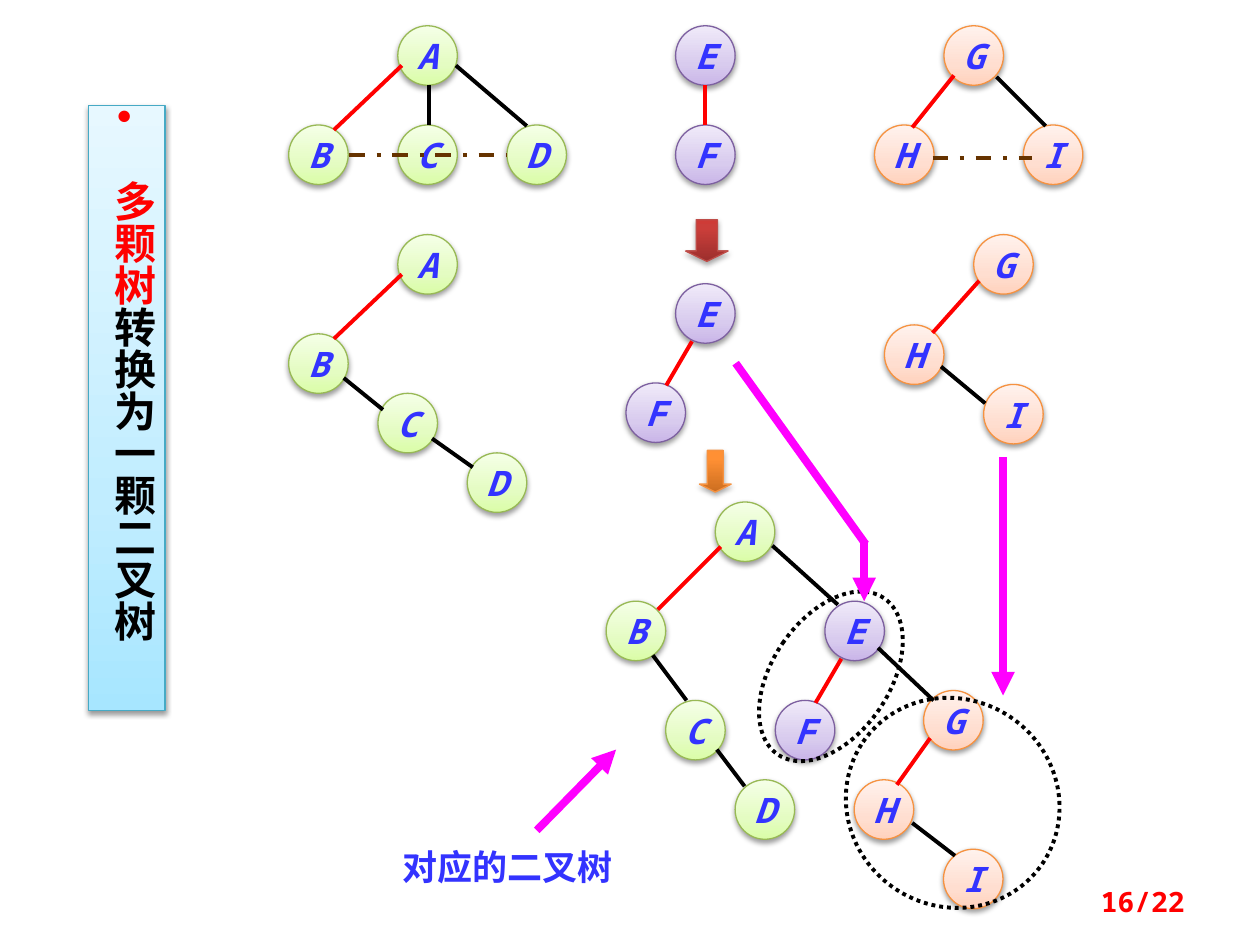
from dataclasses import dataclass

from lxml.etree import SubElement
from pptx import Presentation
from pptx.dml.color import RGBColor
from pptx.enum.dml import MSO_LINE
from pptx.enum.shapes import MSO_CONNECTOR, MSO_SHAPE
from pptx.enum.text import MSO_ANCHOR, MSO_AUTO_SIZE, PP_ALIGN
from pptx.oxml.ns import qn
from pptx.util import Cm, Pt


@dataclass(frozen=True)
class Skin:
    """Gradient stops as (percent, colour), and the outline colour."""
    stops: tuple
    outline: str
    shadow_alpha: int = 38


@dataclass(frozen=True)
class Theme:
    latin: str = "Noto Sans Mono"
    cjk: str = "Noto Sans CJK SC"
    black: str = "000000"
    red: str = "FF0000"
    blue: str = "3333FF"
    brown: str = "663300"
    magenta: str = "FF00FF"
    banner_size: int = 24
    label_size: int = 20
    page_size: int = 16
    edge_width: float = 2.25
    arrow_width: float = 4.5
    green: Skin = Skin(((0, "DAFDA7"), (35, "E4FCC2"), (100, "F5FFE7")), "98B955")
    purple: Skin = Skin(((0, "C9B5E8"), (35, "D8CBEE"), (100, "F0EAF9")), "7D60A0")
    peach: Skin = Skin(((0, "FFD2BD"), (35, "FFDED0"), (100, "FFF2ED")), "F69240")
    sky: Skin = Skin(((0, "A7E6FF"), (35, "C1EDFF"), (100, "E7F8FF")), "46AAC5")
    crimson: Skin = Skin(((0, "9C2F2D"), (80, "CB3E3A"), (100, "CE3B37")), "BF4C48", 35)
    orange: Skin = Skin(((0, "CC6E20"), (80, "FF9034"), (100, "FF9136")), "F69240", 35)


THEME = Theme()
NODE = 1.2

# A tree: skin, node places, first-child edges, other edges, sibling links.
# Places are in cm from the top left of the tree.
FOREST_A = (THEME.green, {"A": (2.2, 0), "B": (0, 2), "C": (2.2, 2), "D": (4.4, 2)},
            [(2.28, 0.8, 0.91, 2.1)],
            [(2.82, 1.2, 2.82, 2), (3.37, 0.8, 4.8, 2.02)], [(1.22, 2.6, 4.39, 2.6)])
FOREST_E = (THEME.purple, {"E": (0, 0), "F": (0, 2)}, [(0.6, 1.2, 0.6, 2)], [], [])
FOREST_G = (THEME.peach, {"G": (1.4, 0), "H": (0, 2), "I": (3, 2)},
            [(1.6, 1, 0.76, 2.05)], [(2.46, 1.03, 3.45, 2.02)],
            [(1.17, 2.66, 3.17, 2.66)])
BINARY_A = (THEME.green, {"A": (2.2, 0), "B": (0, 2), "C": (1.8, 3.2), "D": (3.6, 4.4)},
            [(2.28, 0.8, 0.91, 2.1)],
            [(1.11, 2.89, 1.9, 3.53), (2.89, 4.11, 3.71, 4.69)], [])
BINARY_E = (THEME.purple, {"E": (1, 0), "F": (0, 2)}, [(1.33, 1.16, 0.81, 2.05)], [], [])
BINARY_G = (THEME.peach, {"G": (1.8, 0), "H": (0, 1.82), "I": (2, 3.02)},
            [(1.91, 0.93, 0.97, 1.98)], [(1.14, 2.66, 2.03, 3.4)], [])
MERGED_A = (THEME.green, {"A": (2.2, 0), "B": (0, 2), "C": (1.2, 4), "D": (2.6, 5.6)},
            [(2.31, 0.9, 1.04, 2.17)],
            [(0.94, 3.09, 1.62, 4), (2.23, 4.99, 2.79, 5.73), (3.35, 0.88, 4.67, 2.07)], [])
MERGED_G = (THEME.peach, {"G": (1.4, 0), "H": (0, 1.8), "I": (1.8, 3.2)},
            [(1.53, 0.96, 0.86, 1.9)], [(1.17, 2.67, 2.03, 3.33)], [])


def add_run(paragraph, text, size, colour, latin=THEME.latin, bold=True, italic=False):
    run = paragraph.add_run()
    run.text = text
    font = run.font
    font.size, font.bold, font.italic = Pt(size), bold, italic
    font.color.rgb = RGBColor.from_string(colour)
    font.name = latin
    SubElement(font._element, qn("a:ea"), typeface=THEME.cjk)


def add_skinned(slide, kind, box, skin):
    """Preset shape with gradient fill, thin outline and soft shadow."""
    shape = slide.shapes.add_shape(kind, *map(Cm, box))
    shape.fill.gradient()
    shape.fill.gradient_angle = 90
    stop_list = shape._element.spPr.find(f".//{qn('a:gsLst')}")
    for stop in list(stop_list):
        stop_list.remove(stop)
    for percent, colour in skin.stops:
        stop = SubElement(stop_list, qn("a:gs"), pos=str(percent * 1000))
        SubElement(stop, qn("a:srgbClr"), val=colour)
    shape.line.color.rgb = RGBColor.from_string(skin.outline)
    shape.line.width = Pt(0.75)
    shape.shadow.inherit = False
    effects = shape._element.spPr.find(qn("a:effectLst"))
    shadow = SubElement(effects, qn("a:outerShdw"), blurRad=str(Pt(3.1)),
                        dist=str(Pt(1.6)), dir="5400000", rotWithShape="0")
    tint = SubElement(shadow, qn("a:srgbClr"), val=THEME.black)
    SubElement(tint, qn("a:alpha"), val=str(skin.shadow_alpha * 1000))
    return shape


def add_line(slide, ends, colour, width=THEME.edge_width, dash=None, arrow=False):
    line = slide.shapes.add_connector(MSO_CONNECTOR.STRAIGHT, *map(Cm, ends))
    line.line.color.rgb = RGBColor.from_string(colour)
    line.line.width = Pt(width)
    if dash:
        line.line.dash_style = dash
    if arrow:
        SubElement(line.line._get_or_add_ln(), qn("a:tailEnd"), type="triangle")
    SubElement(line._element.spPr, qn("a:effectLst"))


def add_tree(slide, left, top, tree):
    skin, nodes, child_edges, other_edges, sibling_links = tree
    for letter, (x, y) in nodes.items():
        node = add_skinned(slide, MSO_SHAPE.OVAL, (left + x, top + y, NODE, NODE), skin)
        frame = node.text_frame
        frame.word_wrap = False
        frame.vertical_anchor = MSO_ANCHOR.MIDDLE
        frame.paragraphs[0].alignment = PP_ALIGN.CENTER
        add_run(frame.paragraphs[0], letter, THEME.label_size, THEME.blue, italic=True)
    for edges, colour, dash in ((child_edges, THEME.red, None),
                                (other_edges, THEME.black, None),
                                (sibling_links, THEME.brown, MSO_LINE.DASH_DOT)):
        for x1, y1, x2, y2 in edges:
            add_line(slide, (left + x1, top + y1, left + x2, top + y2), colour, dash=dash)


def add_subtree_ring(slide, box):
    ring = slide.shapes.add_shape(MSO_SHAPE.OVAL, *map(Cm, box))
    ring.rotation = 34.2
    ring.fill.background()
    ring.line.color.rgb = RGBColor.from_string(THEME.black)
    ring.line.width = Pt(THEME.edge_width)
    ring.line.dash_style = MSO_LINE.ROUND_DOT
    ring.shadow.inherit = False


def add_step_arrow(slide, box, skin):
    arrow = add_skinned(slide, MSO_SHAPE.DOWN_ARROW, box, skin)
    arrow.adjustments[0], arrow.adjustments[1] = 0.5, 0.25


def add_banner(slide, box):
    frame = add_skinned(slide, MSO_SHAPE.RECTANGLE, box, THEME.sky).text_frame
    frame.word_wrap = True
    frame.vertical_anchor = MSO_ANCHOR.TOP
    frame.auto_size = MSO_AUTO_SIZE.SHAPE_TO_FIT_TEXT
    frame._txBody.bodyPr.set("vert", "eaVert")
    heading = frame.paragraphs[0]
    heading.alignment = PP_ALIGN.CENTER
    props = heading._p.get_or_add_pPr()
    props.set("marL", str(Cm(1.27)))
    props.set("indent", str(Cm(-1.27)))
    SubElement(props, qn("a:buFont"), typeface="Arial")
    SubElement(props, qn("a:buChar"), char="•")
    add_run(heading, "多颗树", THEME.banner_size, THEME.red, THEME.cjk)
    add_run(heading, "转换为一颗二叉树", THEME.banner_size, THEME.black, THEME.cjk)


def add_label(slide, box, text, size, colour, alignment, anchor):
    frame = slide.shapes.add_textbox(*map(Cm, box)).text_frame
    frame.word_wrap = True
    frame.vertical_anchor = anchor
    frame.paragraphs[0].alignment = alignment
    add_run(frame.paragraphs[0], text, size, colour)


def build_conversion_slide(slide):
    for left, top, tree in ((5.82, 0.52, FOREST_A), (13.62, 0.52, FOREST_E),
                            (17.63, 0.52, FOREST_G), (5.82, 4.73, BINARY_A),
                            (12.62, 5.72, BINARY_E), (17.83, 4.73, BINARY_G),
                            (17.22, 13.92, MERGED_G), (12.22, 10.12, MERGED_A),
                            (15.63, 12.12, BINARY_E)):
        add_tree(slide, left, top, tree)
    add_line(slide, (17.7, 13.06, 18.82, 14.12), THEME.black)
    add_step_arrow(slide, (13.82, 4.43, 0.86, 0.84), THEME.crimson)
    add_step_arrow(slide, (14.1, 9.08, 0.64, 0.84), THEME.orange)
    add_subtree_ring(slide, (15.57, 11.73, 2.36, 3.81))
    add_subtree_ring(slide, (17.02, 14.1, 4.37, 4.17))
    for ends, arrow in (((17.42, 10.92, 17.42, 12.12), True),
                        ((17.45, 10.97, 14.83, 7.32), False),
                        ((20.22, 9.22, 20.22, 14.02), True),
                        ((10.82, 16.74, 12.42, 15.11), True)):
        add_line(slide, ends, THEME.magenta, THEME.arrow_width, arrow=arrow)
    add_banner(slide, (1.78, 2.13, 1.55, 12.19))
    add_label(slide, (6.83, 16.92, 6.81, 1.12), "对应的二叉树", THEME.label_size,
              THEME.blue, PP_ALIGN.CENTER, MSO_ANCHOR.TOP)
    add_label(slide, (18.21, 17.65, 5.92, 1.02), "16/22", THEME.page_size,
              THEME.red, PP_ALIGN.RIGHT, MSO_ANCHOR.MIDDLE)


def main():
    deck = Presentation()
    deck.slide_width, deck.slide_height = Cm(25.4), Cm(19.05)
    build_conversion_slide(deck.slides.add_slide(deck.slide_layouts[6]))
    deck.save("out.pptx")


if __name__ == "__main__":
    main()
